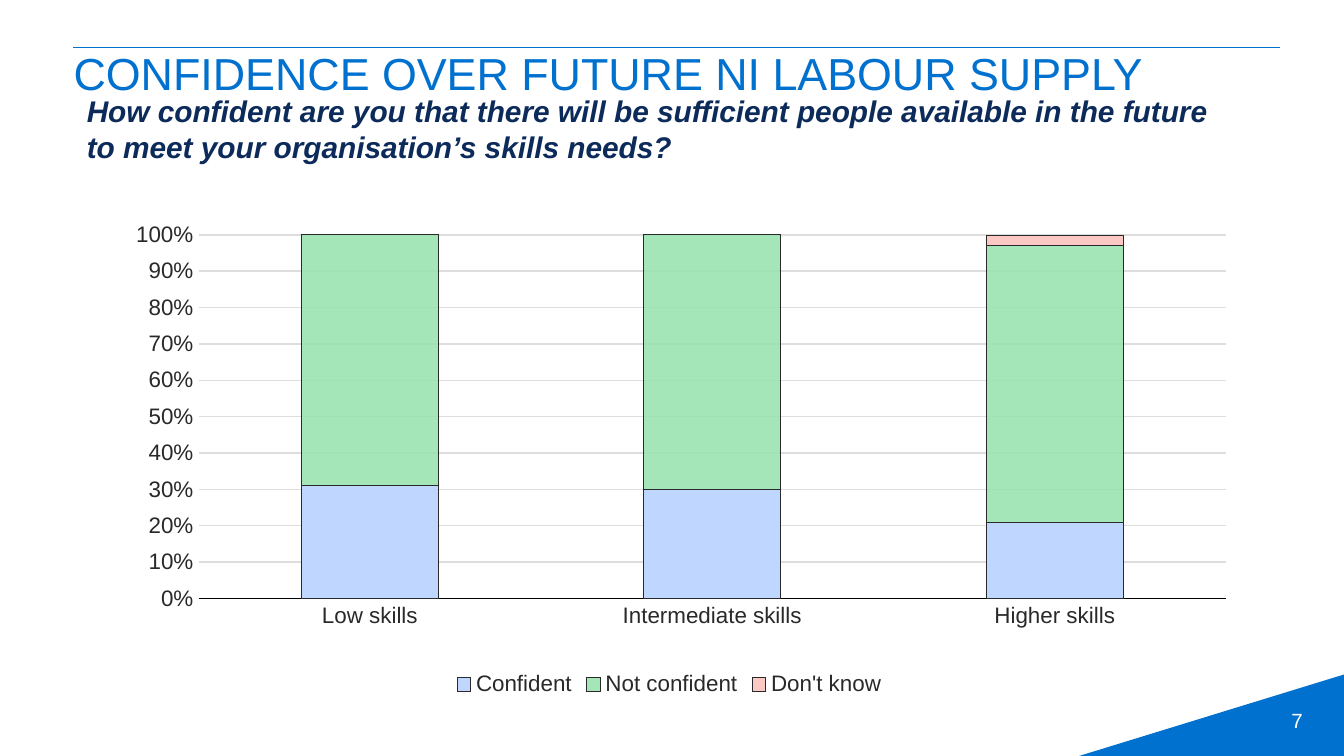
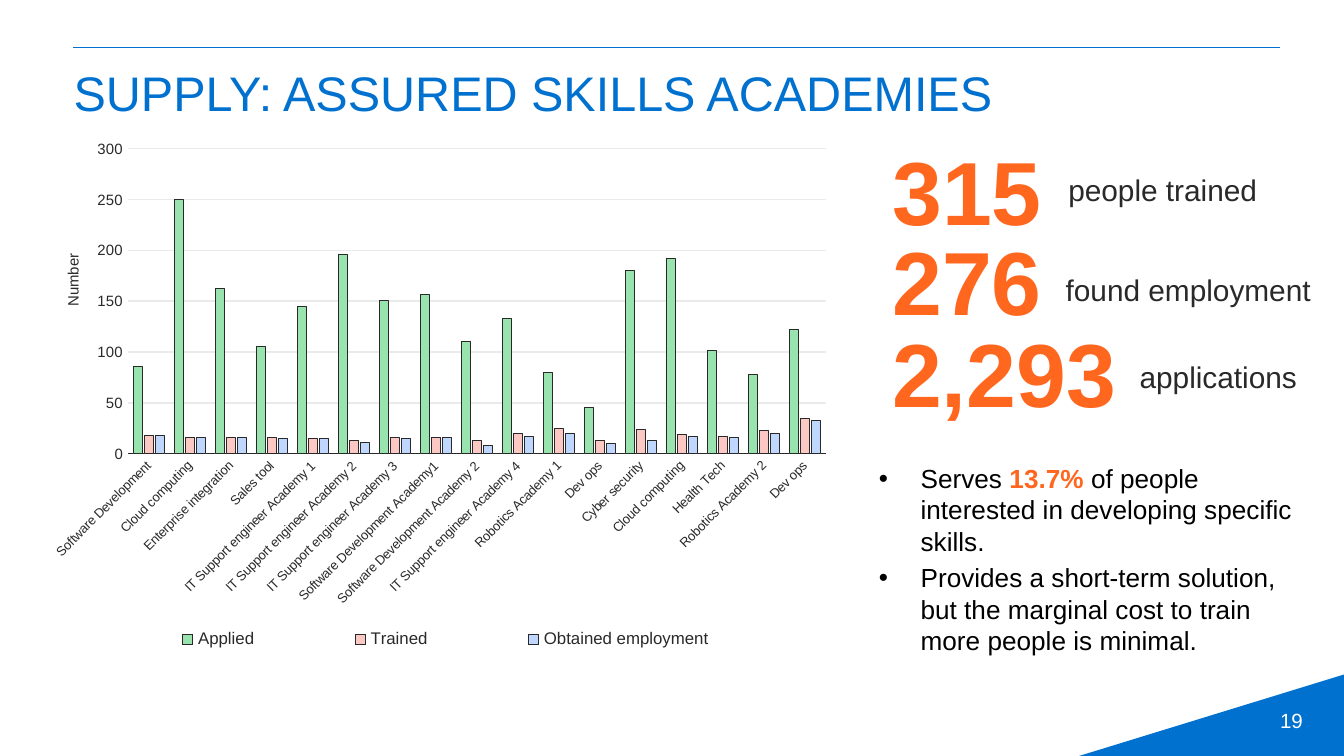
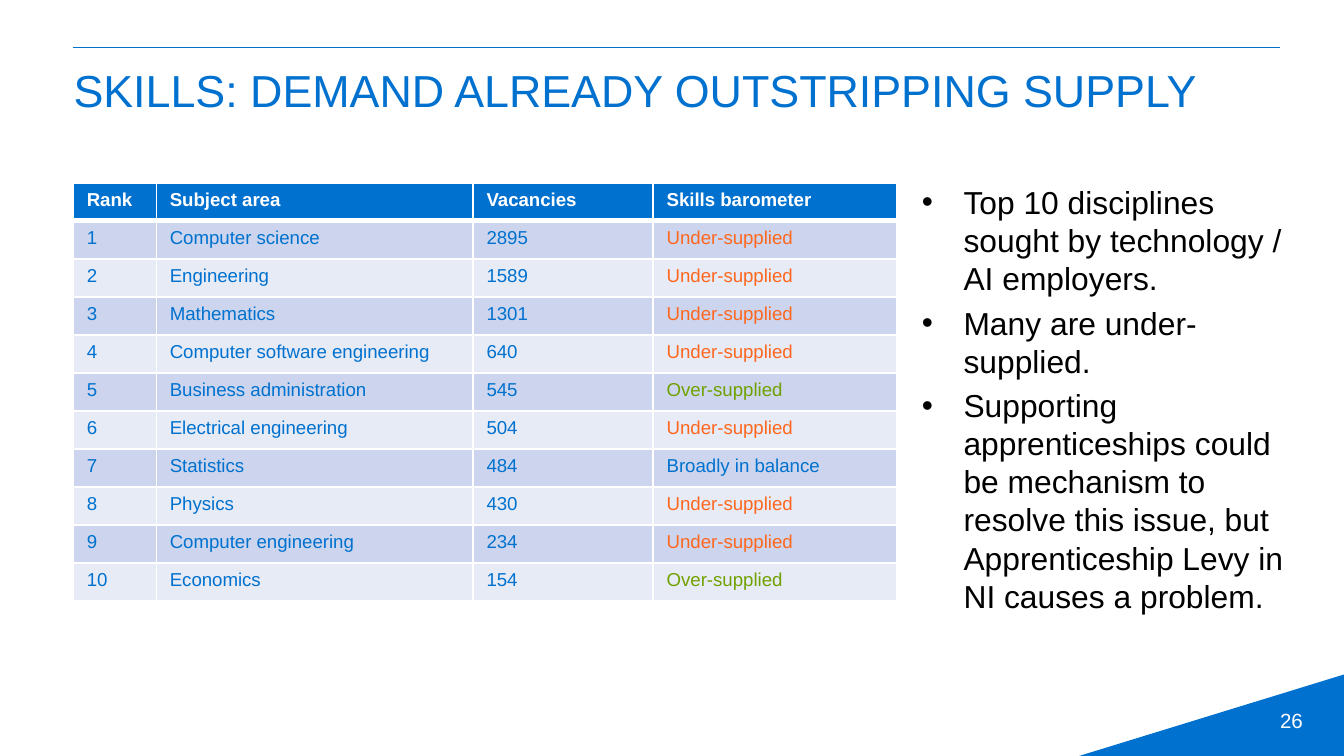
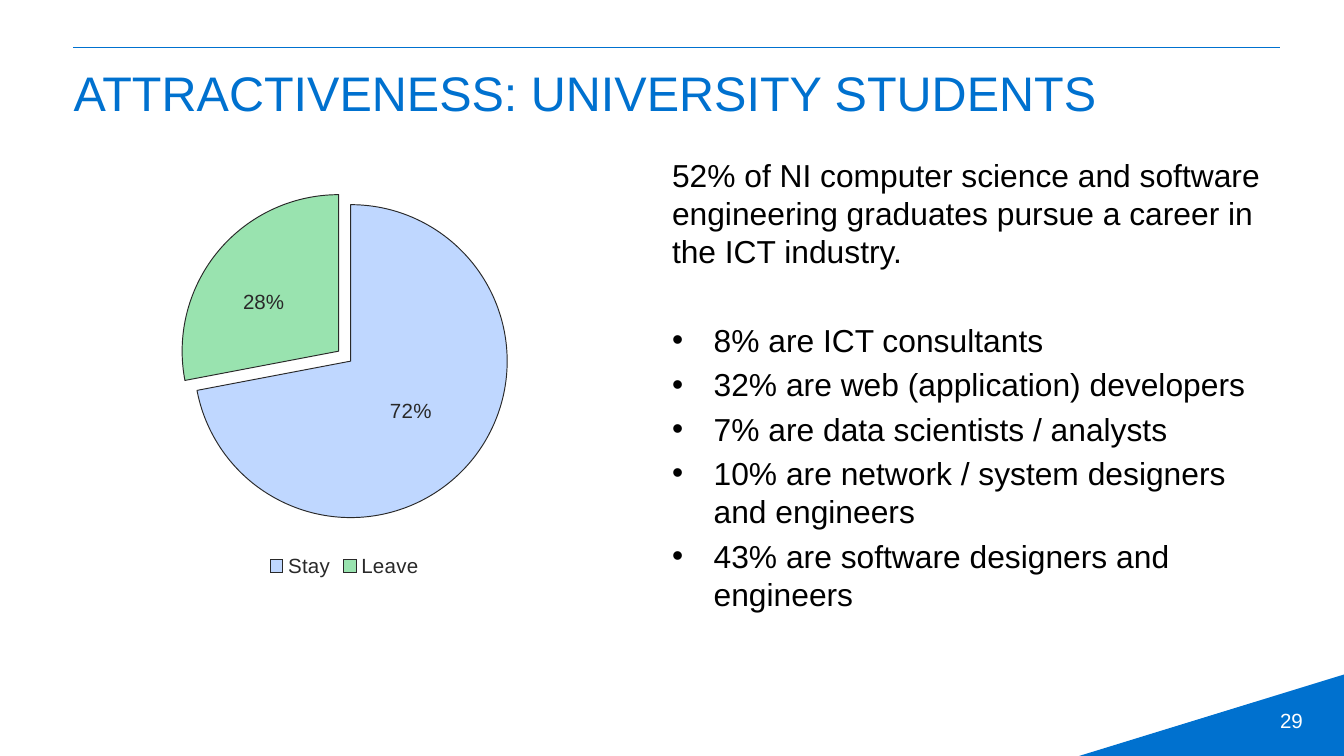
"""Build four slides on skills supply and demand in the Northern Ireland labour market."""
from dataclasses import dataclass
from typing import Any, NamedTuple, Optional

import pptx
import pptx.chart.chart
import pptx.chart.data
import pptx.dml.color
import pptx.enum.chart
import pptx.enum.shapes
import pptx.enum.text
import pptx.oxml
import pptx.oxml.ns
import pptx.presentation
import pptx.slide
import pptx.util

Pt = pptx.util.Pt
Align = pptx.enum.text.PP_ALIGN
Anchor = pptx.enum.text.MSO_ANCHOR
ChartType = pptx.enum.chart.XL_CHART_TYPE


@dataclass(frozen=True)
class Theme:
    """Colours, font and type sizes of the deck."""
    font: str = "Arial"
    blue: str = "0071CF"
    navy: str = "0C2B5A"
    orange: str = "FF671F"
    olive: str = "71A100"
    ink: str = "292929"
    black: str = "000000"
    white: str = "FFFFFF"
    pale_blue: str = "BFD7FF"
    pale_green: str = "99E3AF"
    pale_red: str = "FCC8C4"
    row_dark: str = "CCD5ED"
    row_light: str = "E7EBF6"
    title: float = 26
    long_title: float = 24
    figure: float = 48
    body: float = 17
    caption: float = 16
    note: float = 14
    number: float = 11
    table: float = 10
    axis_title: float = 8
    bullet_indent: float = 22.3


THEME = Theme()


class Box(NamedTuple):
    """Left, top, width and height in points."""
    left: float
    top: float
    width: float
    height: float

    def lengths(self) -> list[pptx.util.Length]:
        """Return the four values as lengths."""
        return [Pt(value) for value in self]


class Layout(NamedTuple):
    """Percentages of the chart area: x, y, width and height."""
    x: float
    y: float
    w: float
    h: float


@dataclass(frozen=True)
class Run:
    """A stretch of text in one format."""
    text: str
    size: float
    color: str = THEME.black
    bold: bool = False
    italic: bool = False


@dataclass(frozen=True)
class Paragraph:
    """Runs with their paragraph format."""
    runs: list[Run]
    bullet: bool = False
    before: float = 0
    after: float = 0
    align: Any = Align.LEFT


@dataclass(frozen=True)
class Series:
    """One chart series with its fill and outline."""
    name: str
    values: list[float]
    color: str
    line_width: float = 0.5
    opacity: int = 100


@dataclass(frozen=True)
class AxisStyle:
    """Look of a column chart's axes."""
    category_size: float
    value_size: float
    line: str
    grid: str
    number_format: str
    label_turn: Optional[int] = None


@dataclass(frozen=True)
class Figure:
    """A headline number and its caption."""
    number: str
    number_box: Box
    caption: str
    caption_box: Box


def rgb(color: str) -> pptx.dml.color.RGBColor:
    """Turn a hex string into a colour."""
    return pptx.dml.color.RGBColor.from_string(color)


def style_font(font: Any, size: float, color: str, bold: bool = False, italic: bool = False) -> None:
    """Format a font."""
    font.name, font.size, font.bold, font.italic = THEME.font, Pt(size), bold, italic
    font.color.rgb = rgb(color)


def style_line(line: Any, color: str, width: float) -> None:
    """Format an outline."""
    line.color.rgb = rgb(color)
    line.width = Pt(width)


def xml(tag: str, **attributes: str) -> Any:
    """Make an XML element from a prefixed tag."""
    element = pptx.oxml.parse_xml(f"<{tag} {pptx.oxml.ns.nsdecls(tag.split(':')[0])}/>")
    for name, value in attributes.items():
        element.set(name, value)
    return element


def write(frame: Any, paragraphs: list[Paragraph]) -> None:
    """Fill a text frame run by run."""
    for index, content in enumerate(paragraphs):
        paragraph = frame.paragraphs[0] if index == 0 else frame.add_paragraph()
        paragraph.alignment = content.align
        paragraph.space_before, paragraph.space_after = Pt(content.before), Pt(content.after)
        if content.bullet:
            properties = paragraph._p.get_or_add_pPr()
            indent = Pt(THEME.bullet_indent)
            properties.set("marL", str(indent))
            properties.set("indent", str(-indent))
            properties.append(xml("a:buFont", typeface=THEME.font))
            properties.append(xml("a:buChar", char="•"))
        for part in content.runs:
            run = paragraph.add_run()
            run.text = part.text
            style_font(run.font, part.size, part.color, part.bold, part.italic)


def set_insets(frame: Any, left: float, top: float, right: float, bottom: float) -> None:
    """Set the inner margins of a text frame."""
    frame.margin_left, frame.margin_top = Pt(left), Pt(top)
    frame.margin_right, frame.margin_bottom = Pt(right), Pt(bottom)


def add_text(slide: pptx.slide.Slide, box: Box, paragraphs: list[Paragraph], wrap: bool = True,
             grow: bool = True, anchor: Any = Anchor.TOP, rotation: float = 0) -> Any:
    """Add a text box and return its frame."""
    holder = slide.shapes.add_textbox(*box.lengths())
    holder.rotation = rotation
    frame = holder.text_frame
    frame.word_wrap, frame.vertical_anchor = wrap, anchor
    sizing = pptx.enum.text.MSO_AUTO_SIZE
    frame.auto_size = sizing.SHAPE_TO_FIT_TEXT if grow else sizing.NONE
    write(frame, paragraphs)
    return frame


def add_body(slide: pptx.slide.Slide, box: Box, paragraphs: list[Paragraph]) -> None:
    """Add body text without side margins."""
    set_insets(add_text(slide, box, paragraphs, grow=False), 0, 0, 0, 3.6)


def bullet(*runs: Run, before: Optional[float] = None) -> Paragraph:
    """Make a bulleted paragraph spaced by a fifth of its type size."""
    return Paragraph(list(runs), bullet=True, before=runs[0].size * 0.2 if before is None else before)


def add_slide(deck: pptx.presentation.Presentation, title: str, number: int,
              size: float = THEME.title, top: float = 33.8) -> pptx.slide.Slide:
    """Add a slide with its rule, corner, page number and title."""
    slide = deck.slides.add_slide(deck.slide_layouts[5])
    rule = slide.shapes.add_connector(
        pptx.enum.shapes.MSO_CONNECTOR.STRAIGHT, Pt(39.4), Pt(25.2), Pt(685.6), Pt(25.2))
    style_line(rule.line, THEME.blue, 0.25)
    rule.element.spPr.append(xml("a:effectLst"))

    corner = slide.shapes.add_shape(
        pptx.enum.shapes.MSO_SHAPE.ISOSCELES_TRIANGLE, *Box(578.2, 361.4, 141.8, 43.6).lengths())
    corner.adjustments[0] = 1
    corner.shadow.inherit = False
    corner.fill.solid()
    corner.fill.fore_color.rgb = rgb(THEME.blue)
    corner.line.fill.background()

    page = Paragraph([Run(str(number), THEME.number, THEME.white)], align=Align.RIGHT)
    add_text(slide, Box(537.3, 375.1, 167.8, 21.6), [page], grow=False, anchor=Anchor.MIDDLE)

    heading = slide.shapes.title
    heading.left, heading.top, heading.width, heading.height = Box(39.4, top, 646.6, 41.8).lengths()
    frame = heading.text_frame
    frame.auto_size = pptx.enum.text.MSO_AUTO_SIZE.NONE
    frame.word_wrap, frame.vertical_anchor = True, Anchor.TOP
    set_insets(frame, 0, 0, 0, 0)
    write(frame, [Paragraph([Run(title, size, THEME.blue)])])
    return slide


def set_layout(parent: Any, index: int, layout: Layout, inner: bool = False) -> None:
    """Fix the place of a plot area or a legend."""
    for old in parent.xpath("c:layout"):
        parent.remove(old)
    holder, manual = xml("c:layout"), xml("c:manualLayout")
    if inner:
        manual.append(xml("c:layoutTarget", val="inner"))
    for axis in "xy":
        manual.append(xml(f"c:{axis}Mode", val="edge"))
    for name, percent in layout._asdict().items():
        manual.append(xml(f"c:{name}", val=str(percent / 100)))
    holder.append(manual)
    parent.insert(index, holder)


def add_chart(slide: pptx.slide.Slide, kind: Any, box: Box, categories: list[str],
              series: list[Series], number_format: str, legend_size: float) -> pptx.chart.chart.Chart:
    """Add a chart with a legend below."""
    data = pptx.chart.data.CategoryChartData(number_format=number_format)
    data.categories = categories
    for item in series:
        data.add_series(item.name, item.values)
    chart = slide.shapes.add_chart(kind, *box.lengths(), data).chart
    chart.has_title = False
    style_font(chart.font, 10, THEME.blue)
    chart.has_legend = True
    chart.legend.position = pptx.enum.chart.XL_LEGEND_POSITION.BOTTOM
    chart.legend.include_in_layout = False
    style_font(chart.legend.font, legend_size, THEME.ink)
    return chart


def paint(part: Any, color: str, line_width: float) -> None:
    """Fill and outline a series or a point."""
    part.format.fill.solid()
    part.format.fill.fore_color.rgb = rgb(color)
    style_line(part.format.line, THEME.ink, line_width)


def style_columns(chart: pptx.chart.chart.Chart, series: list[Series], axes: AxisStyle,
                  plot_layout: Layout, gap: int, overlap: int) -> None:
    """Format the columns, axes and plot area."""
    plot = chart.plots[0]
    plot.vary_by_categories = False
    plot.gap_width, plot.overlap = gap, overlap
    for item, column in zip(series, plot.series):
        paint(column, item.color, item.line_width)
        column.invert_if_negative = False
        if item.opacity < 100:
            fill = column._element.xpath("c:spPr/a:solidFill/a:srgbClr")[0]
            fill.append(xml("a:alpha", val=str(item.opacity * 1000)))
    for axis, size in ((chart.category_axis, axes.category_size), (chart.value_axis, axes.value_size)):
        axis.major_tick_mark = axis.minor_tick_mark = pptx.enum.chart.XL_TICK_MARK.NONE
        style_font(axis.tick_labels.font, size, THEME.ink)
    style_line(chart.category_axis.format.line, axes.line, 0.75)
    values = chart.value_axis
    values.format.line.fill.background()
    values.has_major_gridlines = True
    style_line(values.major_gridlines.format.line, axes.grid, 0.75)
    values.tick_labels.number_format = axes.number_format
    values.tick_labels.number_format_is_linked = False
    if axes.label_turn is not None:
        labels = chart.element.xpath(".//c:catAx/c:txPr/a:bodyPr")[0]
        labels.set("rot", str(axes.label_turn * 60000))
        labels.set("vert", "horz")
    set_layout(chart.element.xpath(".//c:plotArea")[0], 0, plot_layout, inner=True)


def build_confidence(deck: pptx.presentation.Presentation) -> None:
    """Build the slide on confidence in future labour supply."""
    slide = add_slide(deck, "CONFIDENCE OVER FUTURE NI LABOUR SUPPLY", 7, THEME.long_title, 24.5)
    answers = [
        Series("Confident", [31, 30, 21], THEME.pale_blue),
        Series("Not confident", [69, 70, 76], THEME.pale_green, opacity=89),
        Series("Don't know", [0, 0, 3], THEME.pale_red, line_width=0.25),
    ]
    levels = ["Low skills", "Intermediate skills", "Higher skills"]
    chart = add_chart(slide, ChartType.COLUMN_STACKED_100, Box(50.4, 64.1, 616.3, 311.8),
                      levels, answers, "0", 12)
    style_columns(chart, answers, AxisStyle(12, 12, THEME.black, "DDDDDD", "0%"),
                  Layout(9.1, 19.8, 89.3, 62.5), 150, 100)
    question = ("How confident are you that there will be sufficient people available in the future "
                "to meet your organisation’s skills needs?")
    run = Run(question, THEME.caption, THEME.navy, bold=True, italic=True)
    add_text(slide, Box(39.4, 46.1, 627.1, 67.7), [Paragraph([run], after=2.2)], grow=False)


def build_academies(deck: pptx.presentation.Presentation) -> None:
    """Build the slide on training academies."""
    slide = add_slide(deck, "SUPPLY: ASSURED SKILLS ACADEMIES", 19)
    academies = [
        "Software Development", "Cloud computing", "Enterprise integration", "Sales tool",
        "IT Support engineer Academy 1", "IT Support engineer Academy 2",
        "IT Support engineer Academy 3", "Software Development Academy1",
        "Software Development Academy 2", "IT Support engineer Academy 4", "Robotics Academy 1",
        "Dev ops", "Cyber security", "Cloud computing", "Health Tech", "Robotics Academy 2", "Dev ops",
    ]
    stages = [
        Series("Applied", [86, 250, 162, 105, 145, 196, 151, 157, 110, 133, 80, 45, 180, 192, 101,
                           78, 122], THEME.pale_green),
        Series("Trained", [18, 16, 16, 16, 15, 13, 16, 16, 13, 20, 25, 13, 24, 19, 17, 23, 35],
               THEME.pale_red),
        Series("Obtained employment", [18, 16, 16, 15, 15, 11, 15, 16, 8, 17, 20, 10, 13, 17, 16,
                                       20, 33], THEME.pale_blue),
    ]
    chart = add_chart(slide, ChartType.COLUMN_CLUSTERED, Box(16.6, 67, 431.3, 287.3),
                      academies, stages, "0", 9)
    style_columns(chart, stages, AxisStyle(7, 8, THEME.ink, "EAEAEA", "0", -45),
                  Layout(12.1, 4.4, 86.6, 56.9), 105, -27)
    chart.value_axis.minimum_scale, chart.value_axis.maximum_scale = 0, 300
    chart.value_axis.major_unit = 50
    set_layout(chart.element.xpath(".//c:legend")[0], 1, Layout(7, 92.4, 89, 7))

    add_body(slide, Box(470.9, 247.7, 231.8, 106.6), [
        bullet(Run("Serves ", THEME.note), Run("13.7%", THEME.note, THEME.orange, bold=True),
               Run(" of people interested in developing specific skills.", THEME.note)),
        bullet(Run("Provides a short-term solution, but the marginal cost to train more people "
                   "is minimal.", THEME.note)),
    ])
    add_text(slide, Box(17.6, 141.1, 43.2, 17.3),
             [Paragraph([Run("Number", THEME.axis_title, THEME.ink)])], wrap=False, rotation=270)
    figures = [
        Figure("315", Box(470.9, 69.1, 102.2, 65.5), "people trained", Box(565.2, 88.6, 116.6, 26.6)),
        Figure("276", Box(470.9, 117.4, 102.2, 65.5), "found employment",
               Box(563.8, 141.8, 147.6, 26.6)),
        Figure("2,293", Box(470.9, 167, 139, 65.5), "applications", Box(603.4, 188.6, 99.4, 26.6)),
    ]
    for item in figures:
        add_text(slide, item.number_box,
                 [Paragraph([Run(item.number, THEME.figure, THEME.orange, bold=True)])])
        add_text(slide, item.caption_box,
                 [Paragraph([Run(item.caption, THEME.caption, THEME.ink)])], wrap=False)


def style_cell(cell: Any, run: Run, fill: str, bottom: float) -> None:
    """Write, border and fill a table cell."""
    write(cell.text_frame, [Paragraph([run])])
    properties = cell._tc.get_or_add_tcPr()
    for side, width in (("L", 1), ("R", 1), ("T", 1), ("B", bottom)):
        border, paint_fill = xml(f"a:ln{side}", w=str(Pt(width))), xml("a:solidFill")
        paint_fill.append(xml("a:srgbClr", val=THEME.white))
        border.append(paint_fill)
        properties.append(border)
    cell.fill.solid()
    cell.fill.fore_color.rgb = rgb(fill)


def build_demand(deck: pptx.presentation.Presentation) -> None:
    """Build the slide that ranks subject areas by vacancies."""
    slide = add_slide(deck, "SKILLS: DEMAND ALREADY OUTSTRIPPING SUPPLY", 26, THEME.long_title)
    under, over, balanced = "Under-supplied", "Over-supplied", "Broadly in balance"
    status_colors = {under: THEME.orange, over: THEME.olive}
    subjects = [
        ("Computer science", 2895, under), ("Engineering", 1589, under),
        ("Mathematics", 1301, under), ("Computer software engineering", 640, under),
        ("Business administration", 545, over), ("Electrical engineering", 504, under),
        ("Statistics", 484, balanced), ("Physics", 430, under),
        ("Computer engineering", 234, under), ("Economics", 154, over),
    ]
    rows = [("Rank", "Subject area", "Vacancies", "Skills barometer")]
    rows += [(str(rank), name, str(vacancies), status)
             for rank, (name, vacancies, status) in enumerate(subjects, 1)]
    widths = [44.5, 169.7, 96.5, 130.3]
    row_height = 20.4
    box = Box(39.3, 97.9, sum(widths), row_height * len(rows))
    ranking = slide.shapes.add_table(len(rows), len(widths), *box.lengths()).table
    for column, width in zip(ranking.columns, widths):
        column.width = Pt(width)
    for r, row in enumerate(rows):
        ranking.rows[r].height = Pt(row_height)
        for c, text in enumerate(row):
            if r == 0:
                run, fill = Run(text, THEME.table, THEME.white, bold=True), THEME.blue
            else:
                run = Run(text, THEME.table, status_colors.get(text, THEME.blue))
                fill = THEME.row_dark if r % 2 else THEME.row_light
            style_cell(ranking.cell(r, c), run, fill, 3 if r == 0 else 1)
    remarks = [
        "Top 10 disciplines sought by technology / AI employers.",
        "Many are under-supplied.",
        "Supporting apprenticeships could be mechanism to resolve this issue, but "
        "Apprenticeship Levy in NI causes a problem.",
    ]
    add_body(slide, Box(493.9, 97.9, 198.7, 236.9),
             [bullet(Run(remark, THEME.body)) for remark in remarks])


def build_students(deck: pptx.presentation.Presentation) -> None:
    """Build the slide on university students."""
    slide = add_slide(deck, "ATTRACTIVENESS: UNIVERSITY STUDENTS", 29)
    summary = ("52% of NI computer science and software engineering graduates pursue a career "
               "in the ICT industry.")
    careers = [
        "8% are ICT consultants",
        "32% are web (application) developers",
        "7% are data scientists / analysts",
        "10% are network / system designers and engineers",
        "43% are software designers and engineers",
    ]
    add_body(slide, Box(360, 83.5, 325.4, 269.3),
             [Paragraph([Run(summary, THEME.body)], before=THEME.body * 0.2)]
             + [bullet(Run(career, THEME.body), before=27 if index == 0 else None)
                for index, career in enumerate(careers)])

    intentions = [Series("Series 1", [0.72, 0.28], THEME.pale_blue)]
    chart = add_chart(slide, ChartType.PIE, Box(47.5, 92.9, 274.3, 219.6), ["Stay", "Leave"],
                      intentions, "0%", THEME.number)
    plot = chart.plots[0]
    plot.vary_by_categories = True
    shares = plot.series[0]
    shares._element.xpath("c:tx")[0].addnext(xml("c:explosion", val="5"))
    for index, color in enumerate((THEME.pale_blue, THEME.pale_green)):
        paint(shares.points[index], color, 0.5)
    shares.data_labels.show_value = False
    stay_label = shares.points[0].data_label
    style_font(stay_label.font, THEME.number, THEME.ink)
    stay_label.position = pptx.enum.chart.XL_LABEL_POSITION.CENTER
    add_text(slide, Box(123.1, 151.2, 36.7, 20.9),
             [Paragraph([Run("28%", THEME.number, THEME.ink)])], wrap=False)


def main() -> None:
    """Build and save the deck."""
    deck = pptx.Presentation()
    deck.slide_width, deck.slide_height = Pt(720), Pt(405)
    for build in (build_confidence, build_academies, build_demand, build_students):
        build(deck)
    deck.save("out.pptx")


if __name__ == "__main__":
    main()
